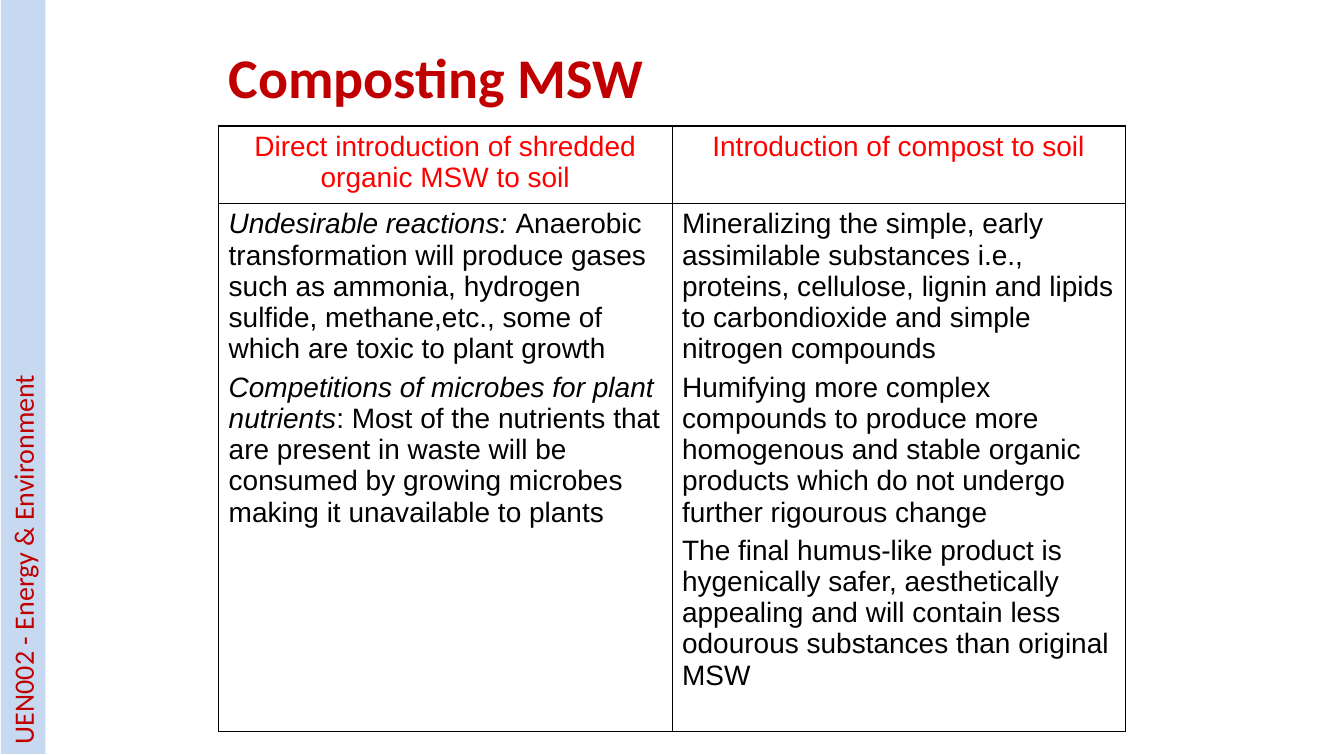
from lxml import etree
from pptx import Presentation
from pptx.dml.color import RGBColor
from pptx.enum.shapes import MSO_SHAPE
from pptx.enum.text import MSO_ANCHOR, PP_ALIGN
from pptx.oxml.ns import qn
from pptx.util import Pt

RECT = MSO_SHAPE.RECTANGLE
LEFT, CENTER = PP_ALIGN.LEFT, PP_ALIGN.CENTER
TOP, MIDDLE = MSO_ANCHOR.TOP, MSO_ANCHOR.MIDDLE
SCALE = 9144
DARK, RED, BLACK, BLUE = "C00000", "FF0000", "000000", "C6D9F1"
THICK, THIN = 1.08, 0.45

HEADS = [
    "Direct introduction of shredded organic MSW to soil",
    "Introduction of compost to soil",
]
BODY = [
    [
        [("Undesirable reactions: ", True),
         ("Anaerobic transformation will produce gases such as ammonia, hydrogen "
          "sulfide, methane,etc., some of which are toxic to plant growth", False)],
        [("Competitions of microbes for plant nutrients", True),
         (": Most of the nutrients that are present in waste will be consumed by "
          "growing microbes making it unavailable to plants", False)],
    ],
    [
        [("Mineralizing the simple, early assimilable substances i.e., proteins, "
          "cellulose, lignin and lipids to carbondioxide and simple nitrogen "
          "compounds", False)],
        [("Humifying more complex compounds to produce more homogenous and stable "
          "organic products which do not undergo further rigourous change", False)],
        [("The final humus-like product is hygenically safer, aesthetically "
          "appealing and will contain less odourous substances than original "
          "MSW", False)],
    ],
]


def px(n):
    return n * SCALE


def color(code):
    return RGBColor.from_string(code)


class Deck:
    side = {"name": "Calibri", "size": Pt(20), "bold": False}
    title = {"name": "Calibri", "size": Pt(40), "bold": True}
    cell = {"name": "Arial", "size": Pt(20), "bold": False}

    def __init__(self, wide, high):
        self.prs = Presentation()
        self.prs.slide_width, self.prs.slide_height = px(wide), px(high)
        self.slide = self.prs.slides.add_slide(self.prs.slide_layouts[5])

    def text(self, frame, paras, style, code, align=LEFT, anchor=TOP):
        frame.word_wrap = True
        frame.vertical_anchor = anchor
        for i, runs in enumerate(paras):
            para = frame.add_paragraph() if i else frame.paragraphs[0]
            para.alignment = align
            para.space_before = Pt(5 if i else 0)
            for words, slant in runs:
                run = para.add_run()
                run.text = words
                for key, value in style.items():
                    setattr(run.font, key, value)
                run.font.italic = slant
                run.font.color.rgb = color(code)

    def head(self, words, x, y, w, h):
        shape = self.slide.shapes.title
        shape.left, shape.top, shape.width, shape.height = map(px, (x, y, w, h))
        self.text(shape.text_frame, [[(words, False)]], self.title, DARK, anchor=MIDDLE)

    def band(self, words, x, y, w, h):
        shape = self.slide.shapes.add_shape(RECT, *map(px, (x, y, w, h)))
        shape.rotation = 270
        shape.shadow.inherit = False
        shape.fill.solid()
        shape.fill.fore_color.rgb = color(BLUE)
        shape.line.fill.background()
        self.text(shape.text_frame, [[(words, False)]], self.side, DARK)

    def border(self, cell, widths):
        props = cell._tc.get_or_add_tcPr()
        for i, (edge, width) in enumerate(widths.items()):
            line = etree.Element(qn("a:ln" + edge), w=str(int(Pt(width))))
            fill = etree.SubElement(line, qn("a:solidFill"))
            etree.SubElement(fill, qn("a:srgbClr"), val=BLACK)
            props.insert(i, line)

    def table(self, rows, x, y, wide, highs):
        count = len(rows[0])
        frame = self.slide.shapes.add_table(
            len(rows), count, *map(px, (x, y, wide * count, sum(highs))))
        table = frame.table
        table.first_row = table.horz_banding = False
        for col in table.columns:
            col.width = px(wide)
        for r, row in enumerate(rows):
            table.rows[r].height = px(highs[r])
            for c, paras in enumerate(row):
                cell = table.cell(r, c)
                cell.fill.background()
                self.border(cell, {
                    "L": THIN if c else THICK,
                    "R": THIN if c < count - 1 else THICK,
                    "T": THIN if r else THICK,
                    "B": THIN if r < len(rows) - 1 else THICK,
                })
                code, align = (BLACK, LEFT) if r else (RED, CENTER)
                self.text(cell.text_frame, paras, self.cell, code, align)


def main():
    deck = Deck(1334, 750)
    deck.band("UEN002 - Energy & Environment", -352, 351, 750, 44)
    deck.head("Composting MSW", 217, 13, 900, 125)
    heads = [[[(words, False)]] for words in HEADS]
    deck.table([heads, BODY], 217, 125, 450, [77, 524])
    deck.prs.save("out.pptx")


if __name__ == "__main__":
    main()
